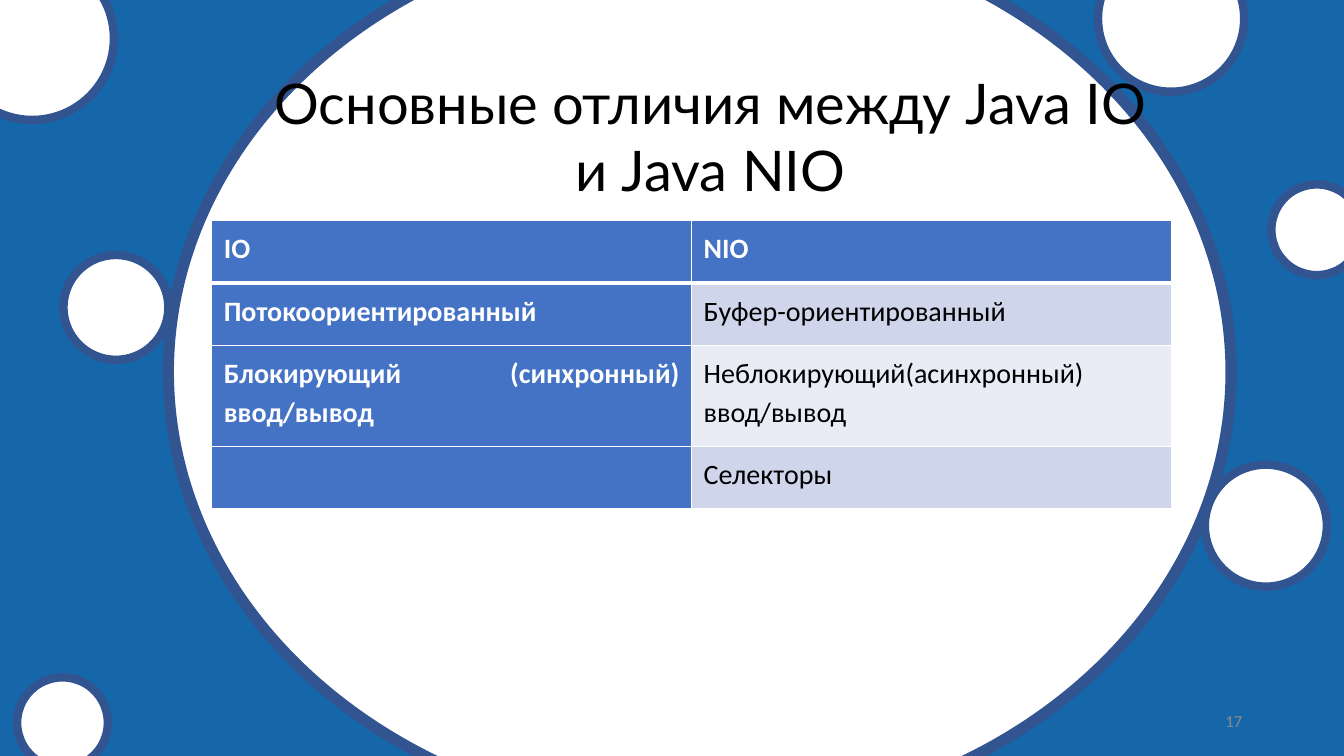
import pptx
import pptx.dml.color
import pptx.enum.shapes
import pptx.enum.text
import pptx.oxml
import pptx.oxml.ns
import pptx.util
from pptx.util import Inches

ALIGN = pptx.enum.text.PP_ALIGN
ANCHOR = pptx.enum.text.MSO_ANCHOR
COLORS = {
    "background": "1567A9",
    "white": "FFFFFF",
    "outline": "325491",
    "black": "000000",
    "number": "8C8C8C",
    "accent": "4472C4",
    "band_dark": "CFD5EA",
    "band_light": "E9EBF5",
}
BUBBLES = [
    (11.95, 4.61, 1.21),
    (0.17, 6.72, 0.9),
    (-0.49, -0.43, 1.62),
    (10.89, -0.54, 1.45),
    (12.61, 1.83, 0.9),
    (0.63, 2.53, 1.04),
]
COMPARISON = [
    ("IO", "NIO"),
    ("Потокоориентированный", "Буфер-ориентированный"),
    ("Блокирующий (синхронный) ввод/вывод", "Неблокирующий(асинхронный) ввод/вывод"),
    ("", "Селекторы"),
]
ROW_HEIGHTS = [0.62, 0.62, 1, 0.62]


def rgb(name):
    return pptx.dml.color.RGBColor.from_string(COLORS[name])


def paint(fill, color):
    fill.solid()
    fill.fore_color.rgb = rgb(color)


def style_text(paragraph, font_name, size, color, align, bold=False):
    paragraph.alignment = align
    font = paragraph.font
    font.name = font_name
    font.size = pptx.util.Pt(size)
    font.bold = bold
    font.color.rgb = rgb(color)


def add_ellipse(slide, left, top, width, height, line_width):
    ellipse = slide.shapes.add_shape(
        pptx.enum.shapes.MSO_SHAPE.OVAL,
        Inches(left), Inches(top), Inches(width), Inches(height))
    ellipse.shadow.inherit = False
    paint(ellipse.fill, "white")
    ellipse.line.color.rgb = rgb("outline")
    ellipse.line.width = pptx.util.Pt(line_width)


def place_title(slide, text):
    title = slide.shapes.title
    title.left, title.top = Inches(2.49), Inches(0.63)
    title.width, title.height = Inches(9.11), Inches(1.45)
    title.text_frame.text = text
    title.text_frame.vertical_anchor = ANCHOR.TOP
    title.text_frame.auto_size = pptx.enum.text.MSO_AUTO_SIZE.NONE
    style_text(title.text_frame.paragraphs[0], "Lato", 40, "black", ALIGN.CENTER)
    slide.shapes.element.append(title.element)


def add_page_number(slide, number):
    page_number = slide.shapes.add_textbox(
        Inches(9.42), Inches(6.95), Inches(3), Inches(0.4))
    frame = page_number.text_frame
    frame.word_wrap = True
    frame.vertical_anchor = ANCHOR.MIDDLE
    frame.text = number
    style_text(frame.paragraphs[0], "Calibri", 12, "number", ALIGN.RIGHT)


def set_borders(cell, top, bottom):
    properties = cell._tc.get_or_add_tcPr()
    for side, width in (("L", 1), ("R", 1), ("T", top), ("B", bottom)):
        properties.append(pptx.oxml.parse_xml(
            f'<a:ln{side} {pptx.oxml.ns.nsdecls("a")} w="{pptx.util.Pt(width)}">'
            f'<a:solidFill><a:srgbClr val="{COLORS["white"]}"/></a:solidFill>'
            f'</a:ln{side}>'))


def fill_cell(cell, text, row, column):
    strong = row == 0 or column == 0
    band = "band_dark" if row % 2 else "band_light"
    set_borders(cell, 3 if row == 1 else 1, 3 if row == 0 else 1)
    paint(cell.fill, "accent" if strong else band)
    cell.margin_left = cell.margin_right = Inches(0.12)
    cell.margin_top, cell.margin_bottom = Inches(0.06), Inches(0.09)
    cell.text = text
    paragraph = cell.text_frame.paragraphs[0]
    paragraph.line_spacing = 1.15
    style_text(paragraph, "Calibri", 20, "white" if strong else "black",
               ALIGN.JUSTIFY, strong)


def add_comparison(slide):
    comparison = slide.shapes.add_table(
        len(COMPARISON), 2, Inches(2.1), Inches(2.19),
        Inches(9.52), Inches(sum(ROW_HEIGHTS))).table
    for row, texts in enumerate(COMPARISON):
        comparison.rows[row].height = Inches(ROW_HEIGHTS[row])
        for column, text in enumerate(texts):
            fill_cell(comparison.cell(row, column), text, row, column)


def main():
    deck = pptx.Presentation()
    deck.slide_width, deck.slide_height = Inches(13.33), Inches(7.5)
    slide = deck.slides.add_slide(deck.slide_layouts.get_by_name("Title Only"))
    paint(slide.background.fill, "background")
    add_ellipse(slide, 1.67, -0.76, 10.54, 8.9, 8)
    for left, top, size in BUBBLES:
        add_ellipse(slide, left, top, size, size, 6)
    place_title(slide, "Основные отличия между Java IO и Java NIO")
    add_page_number(slide, "17")
    add_comparison(slide)
    deck.save("out.pptx")


if __name__ == "__main__":
    main()
